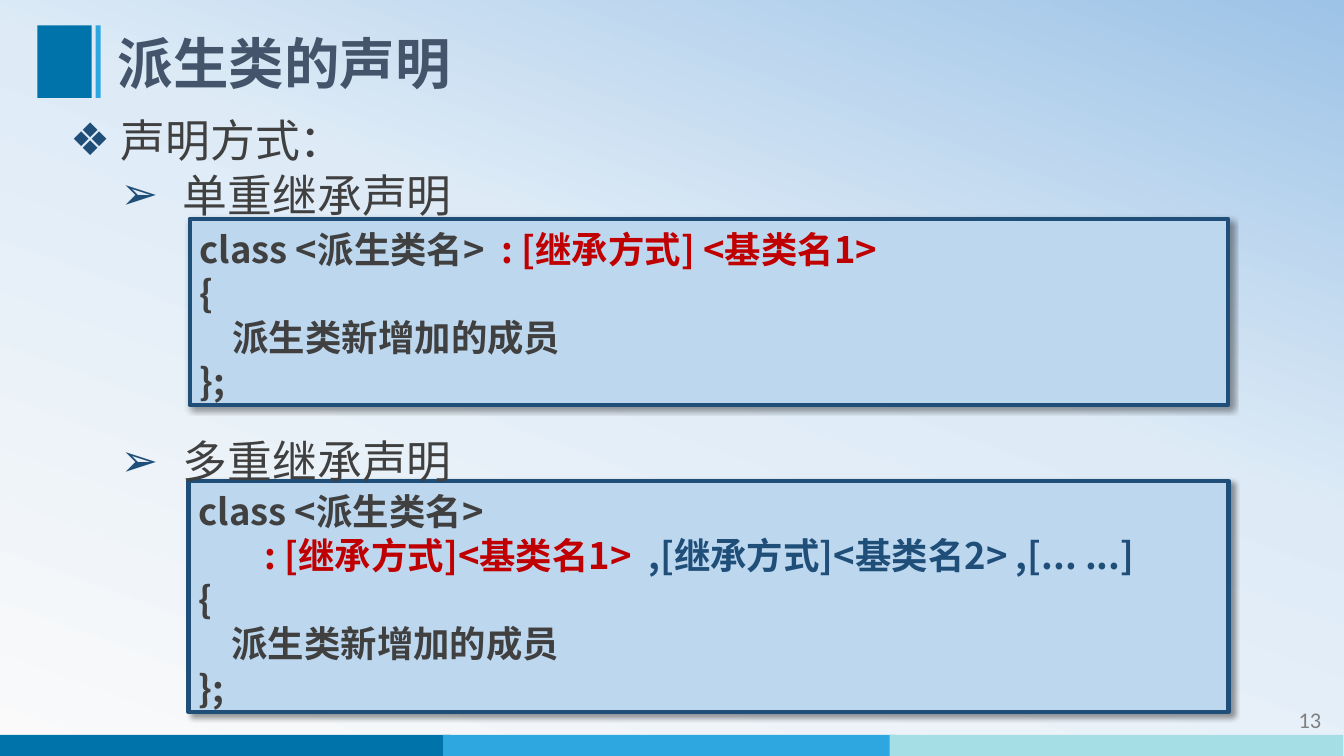
from lxml import etree
from pptx import Presentation, util as u
from pptx.dml.color import RGBColor
from pptx.enum import shapes, text
from pptx.oxml import parse_xml
from pptx.oxml.ns import qn

Cm, Pt = u.Cm, u.Pt
BLUE, SKY, AQUA = (RGBColor.from_string(c) for c in ("0073AB", "2EA7E0", "A5DEE4"))
SLATE, DARK, GREY = (RGBColor.from_string(c) for c in ("44546A", "404040", "808080"))
NAVY, RED, PALE = (RGBColor.from_string(c) for c in ("1F4E79", "C00000", "BDD7EE"))
FONT = "Noto Sans CJK SC"
NS = 'xmlns:a="http://schemas.openxmlformats.org/drawingml/2006/main"'
STOPS = [(0, "FAFAFA"), (58, "DEEBF7"), (100, "9DC3E6")]
ANGLE = 290

TITLE = "派生类的声明"
PAGE = "13"
# place, then (level, words, line pitch) for each item
LISTS = [
    ((1.52, 1.96, 25.81, 3.68), [(0, "声明方式：", 58.5), (1, "单重继承声明", 39)]),
    ((1.52, 10.06, 25.81, 2.06), [(1, "多重继承声明", 58.5)]),
]
# level: bullet, left margin, hanging indent
MARKS = [("❖", 1.27, -1.27), ("➢", 2.84, -1.57)]
BODY = [
    [("{", DARK)],
    [("    派生类新增加的成员", DARK)],
    [("};", DARK)],
]
CODES = [
    ((4.78, 5.51, 26.16, 4.7),
     [[("class <派生类名>  ", DARK), (": [继承方式] <基类名1>", RED)]] + BODY),
    ((4.75, 12.12, 26.21, 5.82),
     [[("class <派生类名>", DARK)],
      [("        ", DARK), (": [继承方式]<基类名1>  ", RED),
       (",[继承方式]<基类名2> ,[... ...]", NAVY)]] + BODY),
]
BAR_W, BAR_STEP = 11.43, 11.25
PLATES = [((-0.08 + i * BAR_STEP, 18.52, BAR_W, 0.53), c)
          for i, c in enumerate((BLUE, SKY, AQUA))]
PLATES += [((0.94, 0.64, 1.37, 1.83), BLUE), ((2.41, 0.64, 0.13, 1.83), SKY)]


def place(shape, box):
    shape.left, shape.top, shape.width, shape.height = (Cm(n) for n in box)


def block(slide, box, fill):
    shape = slide.shapes.add_shape(shapes.MSO_SHAPE.RECTANGLE, *(Cm(n) for n in box))
    shape.fill.solid()
    shape.fill.fore_color.rgb = fill
    shape.line.fill.background()
    shape.shadow.inherit = False
    return shape


def write(para, words, size, color, bold=False, font=FONT):
    run = para.add_run()
    run.text = words
    run.font.size, run.font.bold, run.font.name = Pt(size), bold, font
    run.font.color.rgb = color
    etree.SubElement(run.font._element, qn("a:ea"), typeface=font)


def setup(frame, top=0.13):
    frame.word_wrap = True
    frame.auto_size = text.MSO_AUTO_SIZE.NONE
    frame.vertical_anchor = text.MSO_ANCHOR.TOP
    frame.margin_left = frame.margin_right = Cm(0.25)
    frame.margin_top, frame.margin_bottom = Cm(top), Cm(0)


def lines(frame, count):
    return [frame.paragraphs[0]] + [frame.add_paragraph() for _ in range(count - 1)]


def mark(para, level):
    """Give a paragraph its level, indent and coloured bullet."""
    sign, left, hang = MARKS[level]
    para.level = level
    props = para._p.get_or_add_pPr()
    props.set("marL", str(Cm(left)))
    props.set("indent", str(Cm(hang)))
    tint = etree.SubElement(props, qn("a:buClr"))
    etree.SubElement(tint, qn("a:srgbClr"), val=str(NAVY))
    etree.SubElement(props, qn("a:buChar"), char=sign)


def shade(slide):
    """Paint the slide background with the gradient."""
    fill = slide.background.fill
    fill.solid()
    old = slide._element.find(".//" + qn("p:bgPr")).find(qn("a:solidFill"))
    stops = "".join(f'<a:gs pos="{p * 1000}"><a:srgbClr val="{c}"/></a:gs>'
                    for p, c in STOPS)
    old.getparent().replace(old, parse_xml(
        f'<a:gradFill {NS} rotWithShape="1"><a:gsLst>{stops}</a:gsLst>'
        f'<a:lin ang="{ANGLE * 60000}" scaled="0"/></a:gradFill>'))


def code(slide, box, rows):
    shape = block(slide, box, PALE)
    shape.line.color.rgb = NAVY
    shape.line.width = Pt(3)
    shape._element.spPr.find(qn("a:effectLst")).append(parse_xml(
        f'<a:outerShdw {NS} blurRad="{Pt(4)}" dist="{Pt(3)}" dir="{45 * 60000}" '
        'algn="tl" rotWithShape="0"><a:srgbClr val="000000"><a:alpha val="40000"/>'
        '</a:srgbClr></a:outerShdw>'))
    setup(shape.text_frame, 0.2)
    for para, row in zip(lines(shape.text_frame, len(rows)), rows):
        para.alignment = text.PP_ALIGN.LEFT
        para.line_spacing = Pt(31.5)
        for words, color in row:
            write(para, words, 26, color, True)


def items(shape, box, rows):
    place(shape, box)
    setup(shape.text_frame, 0.17)
    for para, (level, words, pitch) in zip(lines(shape.text_frame, len(rows)), rows):
        mark(para, level)
        para.line_spacing, para.space_before = Pt(pitch), Pt(0)
        write(para, words, 32, DARK)


def main():
    deck = Presentation()
    deck.slide_width, deck.slide_height = Cm(33.87), Cm(19.05)
    slide = deck.slides.add_slide(deck.slide_layouts[3])
    shade(slide)
    for box, fill in PLATES:
        block(slide, box, fill)

    title = slide.shapes.title
    place(title, (2.72, 0.64, 27.58, 1.83))
    setup(title.text_frame, 0)
    title.text_frame.vertical_anchor = text.MSO_ANCHOR.MIDDLE
    para = title.text_frame.paragraphs[0]
    para.alignment = text.PP_ALIGN.LEFT
    para.line_spacing = Pt(48)
    write(para, TITLE, 39.6, SLATE, True)

    for box, rows in CODES:
        code(slide, box, rows)
    for slot, (box, rows) in enumerate(LISTS, 1):
        body = slide.placeholders[slot]
        items(body, box, rows)
        body._element.getparent().append(body._element)

    page = slide.shapes.add_textbox(*(Cm(n) for n in (29.51, 17.55, 4.04, 1.02)))
    setup(page.text_frame)
    page.text_frame.vertical_anchor = text.MSO_ANCHOR.MIDDLE
    para = page.text_frame.paragraphs[0]
    para.alignment = text.PP_ALIGN.RIGHT
    write(para, PAGE, 16, GREY, font="Calibri")
    deck.save("out.pptx")


if __name__ == "__main__":
    main()
